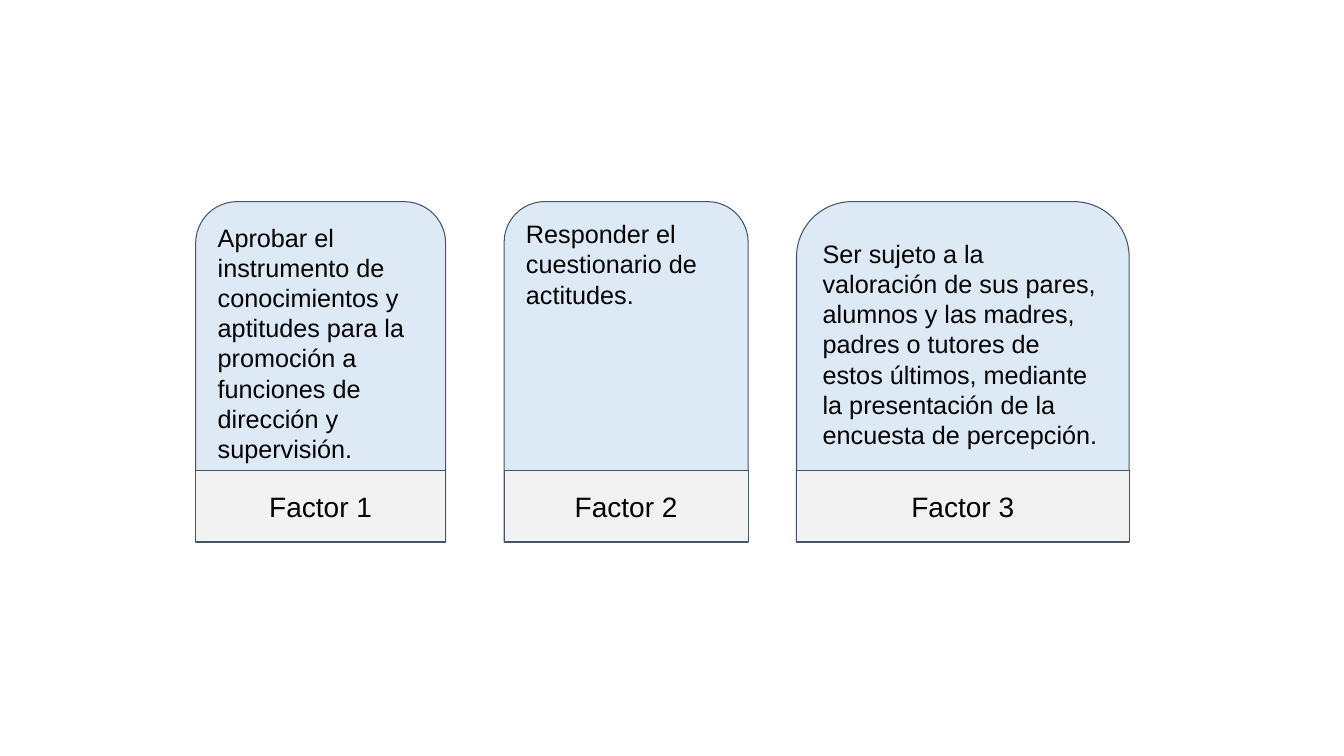
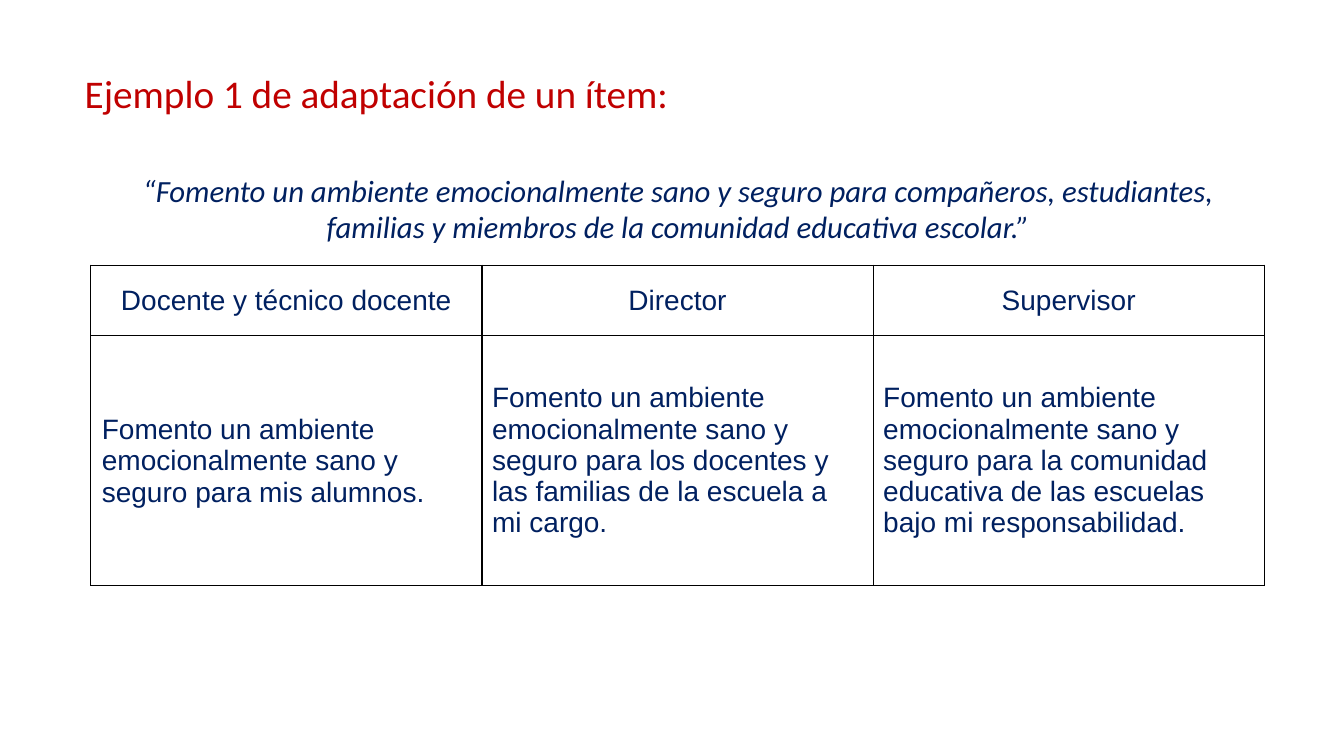
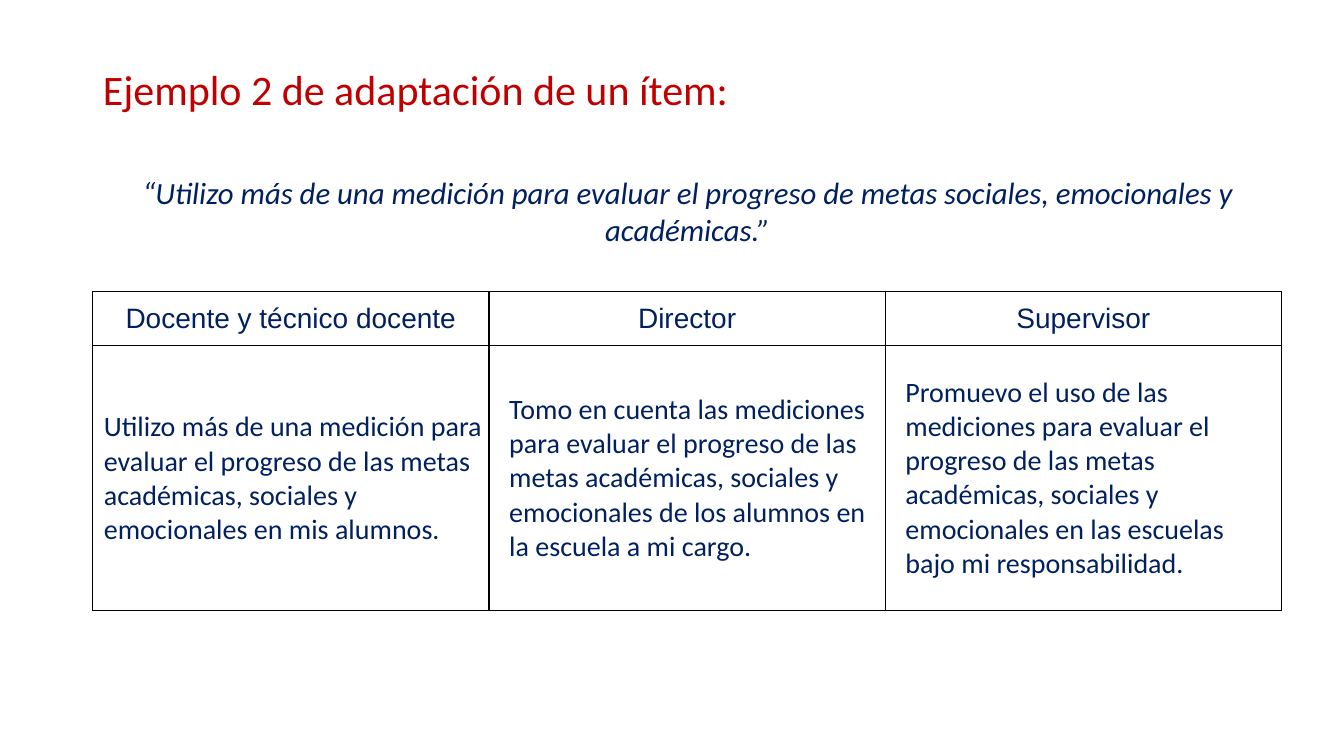
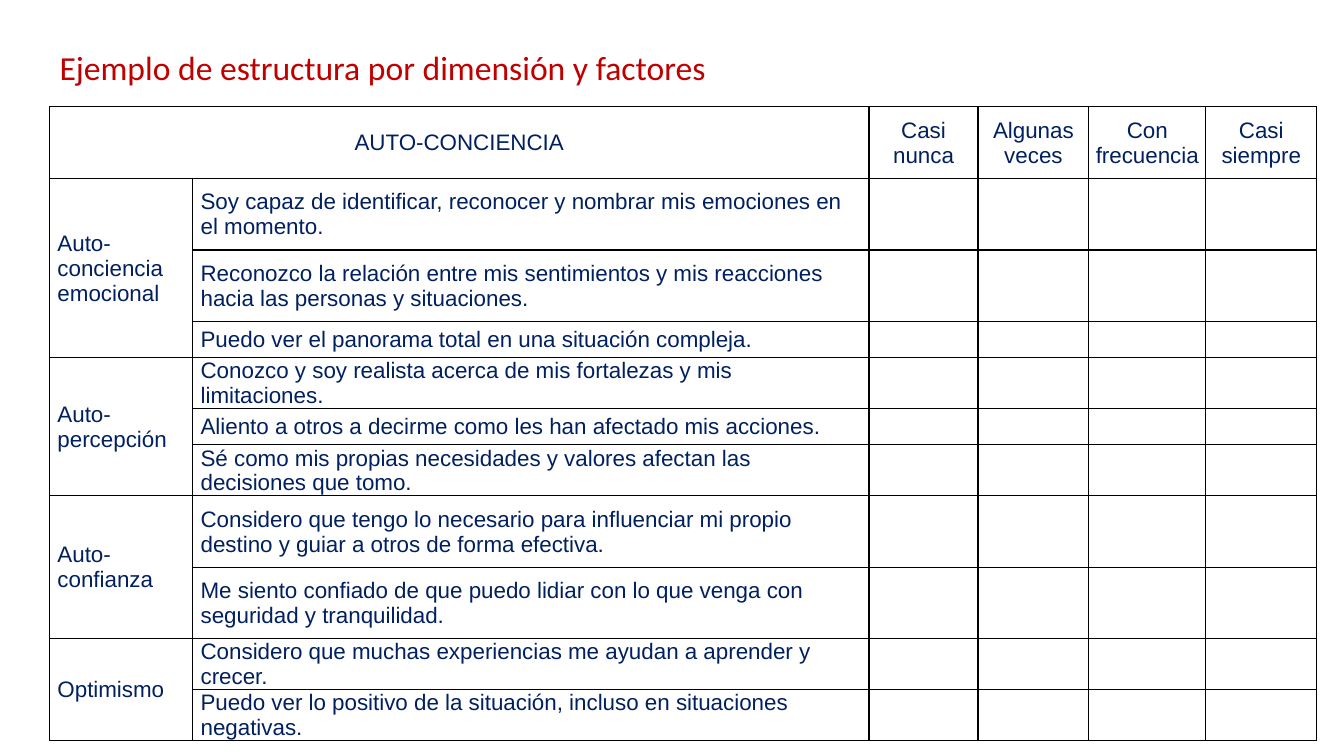
import pptx
import pptx.dml.color
import pptx.enum.shapes
import pptx.enum.text
import pptx.oxml
import pptx.oxml.ns
import pptx.util

PX = 9144  # 100 px to the inch
RED, NAVY, BLACK = "C00000", "002060", "000000"
CARD_BLUE, LABEL_GREY, OUTLINE = "DDEAF6", "F2F2F2", "44546A"
SHAPES = pptx.enum.shapes.MSO_SHAPE
LEFT, CENTER = pptx.enum.text.PP_ALIGN.LEFT, pptx.enum.text.PP_ALIGN.CENTER
TOP, MIDDLE = pptx.enum.text.MSO_ANCHOR.TOP, pptx.enum.text.MSO_ANCHOR.MIDDLE
TITLE_ONLY, BLANK = 5, 6


def color(hex_code):
    return pptx.dml.color.RGBColor.from_string(hex_code)


def write(holder, text, size, name, hex_code, align=LEFT, anchor=MIDDLE,
          margins=(10, 5, 10, 5), spacing=1.0, italic=False):
    """Fill a text frame or table cell; margins run left, top, right, bottom."""
    holder.vertical_anchor = anchor
    for side, margin in zip(("left", "top", "right", "bottom"), margins):
        setattr(holder, "margin_" + side, margin * PX)
    if not text:
        return
    para = getattr(holder, "text_frame", holder).paragraphs[0]
    para.alignment = align
    para.line_spacing = spacing
    span = para.add_run()
    span.text = text
    span.font.color.rgb = color(hex_code)
    styles = {"size": pptx.util.Pt(size), "name": name, "italic": italic}
    for key, value in styles.items():
        setattr(span.font, key, value)


deck = pptx.Presentation()
deck.slide_width, deck.slide_height = 1333 * PX, 750 * PX

# Factors: a rounded card over a label
factors = [
    (194, 248, 8, "Aprobar el instrumento de conocimientos y aptitudes para la promoción a "
                  "funciones de dirección y supervisión."),
    (500, 242, 5, "Responder el cuestionario de actitudes."),
    (790, 330, 20, "Ser sujeto a la valoración de sus pares, alumnos y las madres, padres o "
                   "tutores de estos últimos, mediante la presentación de la encuesta de percepción."),
]
page = deck.slides.add_slide(deck.slide_layouts[BLANK])
for number, (left, width, top_margin, text) in enumerate(factors, 1):
    parts = [
        (SHAPES.ROUND_2_SAME_RECTANGLE, 200, 338, CARD_BLUE, text,
         {"size": 18, "anchor": TOP, "margins": (10, top_margin, 10, 10)}),
        (SHAPES.RECTANGLE, 467, 70, LABEL_GREY, f"Factor {number}",
         {"size": 20, "align": CENTER, "margins": (10, 10, 10, 10)}),
    ]
    for kind, top, height, fill, words, styles in parts:
        box = page.shapes.add_shape(kind, left * PX, top * PX, width * PX, height * PX)
        box.shadow.inherit = False
        box.fill.solid()
        box.fill.fore_color.rgb = color(fill)
        box.line.color.rgb = color(OUTLINE)
        box.line.width = pptx.util.Pt(0.75)
        box.text_frame.word_wrap = True
        write(box.text_frame, words, name="Arial", hex_code=BLACK, **styles)

# Tables: each page has a title, at times a quote, and a grid.
# A cell is None where a merged cell covers it.
# Body styles are listed by column; the last one serves all further columns.
roles = ["Docente y técnico docente", "Director", "Supervisor"]
wide_head = {"size": 20, "name": "Arial", "align": CENTER}
wide_body = {"size": 20, "name": "Arial"}
indented = {"size": 20, "name": "Calibri", "margins": (20, 5, 10, 5)}
flush = (11, 1, 1, 0)

statements = [
    ("Auto-conciencia emocional", [
        "Soy capaz de identificar, reconocer y nombrar mis emociones en el momento.",
        "Reconozco la relación entre mis sentimientos y mis reacciones hacia las personas y situaciones.",
        "Puedo ver el panorama total en una situación compleja."]),
    ("Auto-percepción", [
        "Conozco y soy realista acerca de mis fortalezas y mis limitaciones.",
        "Aliento a otros a decirme como les han afectado mis acciones.",
        "Sé como mis propias necesidades y valores afectan las decisiones que tomo."]),
    ("Auto-confianza", [
        "Considero que tengo lo necesario para influenciar mi propio destino y guiar a otros de forma efectiva.",
        "Me siento confiado de que puedo lidiar con lo que venga con seguridad y tranquilidad."]),
    ("Optimismo", [
        "Considero que muchas experiencias me ayudan a aprender y crecer.",
        "Puedo ver lo positivo de la situación, incluso en situaciones negativas."]),
]
survey = [["AUTO-CONCIENCIA", None, "Casi nunca", "Algunas veces", "Con frecuencia", "Casi siempre"]]
merges = [((0, 0), (0, 1))]
for factor, items in statements:
    merges.append(((len(survey), 0), (len(survey) + len(items) - 1, 0)))
    for position, item in enumerate(items):
        survey.append([None if position else factor, item] + [""] * 4)

table_pages = [
    {"title": "Ejemplo 1 de adaptación de un ítem:",
     "title_box": (74, 61, 1150, 69),
     "title_style": {"size": 28, "spacing": 0.9},
     "quote": "“Fomento un ambiente emocionalmente sano y seguro para compañeros, estudiantes, "
              "familias y miembros de la comunidad educativa escolar.”",
     "quote_box": (122, 165, 1101, 84),
     "corner": (90, 263), "columns": [388] * 3, "rows": [70, 248], "merges": [],
     "cells": [roles, [
         "Fomento un ambiente emocionalmente sano y seguro para mis alumnos.",
         "Fomento un ambiente emocionalmente sano y seguro para los docentes y las familias "
         "de la escuela a mi cargo.",
         "Fomento un ambiente emocionalmente sano y seguro para la comunidad educativa de las "
         "escuelas bajo mi responsabilidad."]],
     "head": wide_head, "body": [wide_body | {"margins": flush}, wide_body]},
    {"title": "Ejemplo 2 de adaptación de un ítem:",
     "title_box": (92, 58, 1150, 67),
     "title_style": {"size": 30, "spacing": 0.9},
     "quote": "“Utilizo más de una medición para evaluar el progreso de metas sociales, "
              "emocionales y académicas.”",
     "quote_box": (92, 167, 1180, 121),
     "corner": (92, 289), "columns": [393] * 3, "rows": [54, 263], "merges": [],
     "cells": [roles, [
         "Utilizo más de una medición para evaluar el progreso de las metas académicas, "
         "sociales y emocionales en mis alumnos.",
         "Tomo en cuenta las mediciones para evaluar el progreso de las metas académicas, "
         "sociales y emocionales de los alumnos en la escuela a mi cargo.",
         "Promuevo el uso de las mediciones para evaluar el progreso de las metas académicas, "
         "sociales y emocionales en las escuelas bajo mi responsabilidad."]],
     "head": wide_head, "body": [indented | {"margins": flush}, indented]},
    {"title": "Ejemplo de estructura por dimensión y factores",
     "title_box": (49, 42, 825, 50),
     "title_style": {"size": 24, "anchor": TOP},
     "quote": None,
     "corner": (49, 106), "columns": [142, 671, 108, 110, 116, 110],
     "rows": [71] * 3 + [36] * 4 + [71] * 2 + [36] * 2, "merges": merges,
     "cells": survey,
     "head": {"size": 16, "name": "Arial", "align": CENTER, "margins": (1, 1, 1, 0)},
     "body": [{"size": 16, "name": "Arial", "margins": (8, 1, 8, 0)}]},
]

for content in table_pages:
    page = deck.slides.add_slide(deck.slide_layouts[TITLE_ONLY])
    title = page.shapes.title
    for key, value in zip(("left", "top", "width", "height"), content["title_box"]):
        setattr(title, key, value * PX)
    title.text_frame.auto_size = pptx.enum.text.MSO_AUTO_SIZE.NONE
    write(title.text_frame, content["title"], name="Calibri", hex_code=RED, **content["title_style"])

    if content["quote"]:
        quote = page.shapes.add_textbox(*(value * PX for value in content["quote_box"]))
        quote.text_frame.word_wrap = True
        write(quote.text_frame, content["quote"], 22, "Calibri", NAVY, CENTER, TOP, italic=True)

    columns, rows = content["columns"], content["rows"]
    left, top = content["corner"]
    table = page.shapes.add_table(len(rows), len(columns), left * PX, top * PX,
                                  sum(columns) * PX, sum(rows) * PX).table
    table.first_row = table.horz_banding = False
    for column, width in zip(table.columns, columns):
        column.width = width * PX
    for row, height in zip(table.rows, rows):
        row.height = height * PX
    for start, end in content["merges"]:
        table.cell(*start).merge(table.cell(*end))

    body = content["body"]
    for row_index, texts in enumerate(content["cells"]):
        for column_index, text in enumerate(texts):
            cell = table.cell(row_index, column_index)
            for side in "LRTB":
                cell._tc.get_or_add_tcPr().append(pptx.oxml.parse_xml(
                    f'<a:ln{side} {pptx.oxml.ns.nsdecls("a")} w="12700"><a:solidFill>'
                    f'<a:srgbClr val="{BLACK}"/></a:solidFill></a:ln{side}>'))
            cell.fill.background()
            styles = body[min(column_index, len(body) - 1)] if row_index else content["head"]
            write(cell, text, hex_code=NAVY, **styles)

deck.save("out.pptx")
